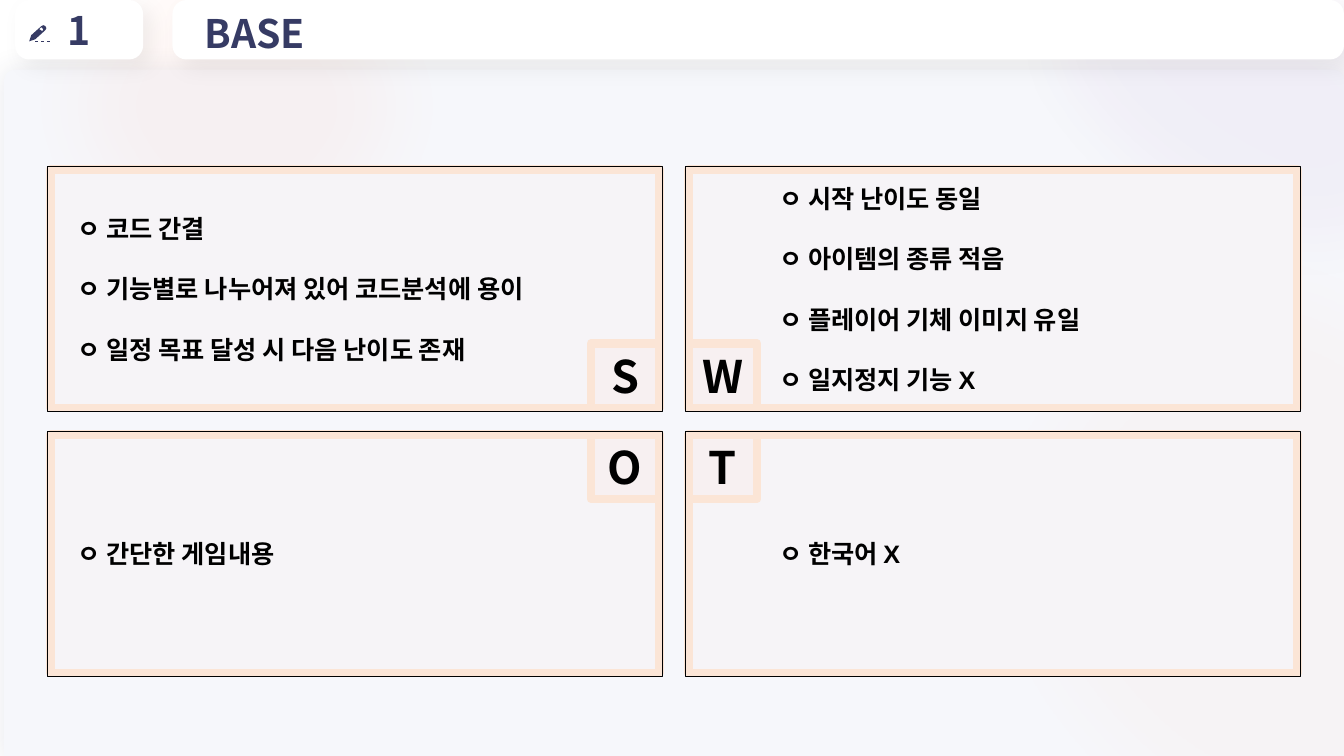
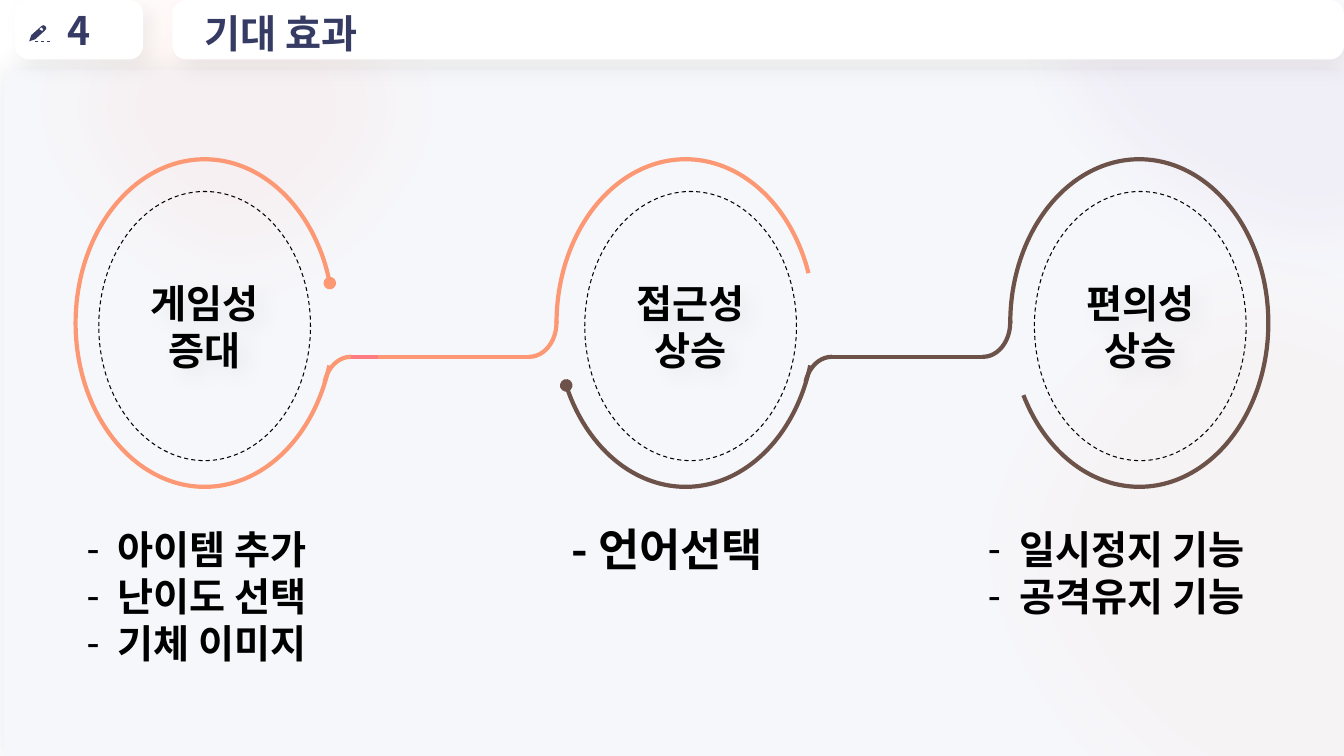
from collections import namedtuple
from dataclasses import dataclass

from lxml.etree import SubElement
from pptx import Presentation
from pptx.dml.color import RGBColor
from pptx.enum.dml import MSO_LINE
from pptx.enum.shapes import MSO_CONNECTOR, MSO_SHAPE
from pptx.enum.text import MSO_ANCHOR, PP_ALIGN
from pptx.oxml.ns import qn
from pptx.util import Inches, Pt


@dataclass(frozen=True)
class Theme:
    """Colours, fonts, type sizes and the grid cell of the deck."""

    navy: str = "363B64"
    white: str = "FFFFFF"
    black: str = "000000"
    page: str = "F6F7FB"
    panel: str = "F6F4F7"
    badge: str = "F7F0F1"
    peach: str = "FBE5D6"
    coral: str = "FC9974"
    blush: str = "FD9374"
    pink: str = "FF7C80"
    brown: str = "6D524A"
    plum: str = "7030A0"
    font: str = "Noto Sans CJK KR"
    plain: str = "Arial"
    body: int = 18
    head: int = 28
    big: int = 32
    cols: int = 1333
    rows: int = 750
    cell: int = Inches(0.01)
    lead: float = 1.2


T = Theme()
Box = namedtuple("Box", "x y w h")
SOFT = ("000000", 5, 15, 8, 45)
GLOW = (T.navy, 10, 18, 0, 0)


def rgb(code):
    """Turn a hex code into a colour."""
    return RGBColor.from_string(code)


def grid(*cells):
    """Turn grid cells into slide lengths."""
    return [int(n * T.cell) for n in cells]


def inset(box, dx, dy=None):
    """Shrink a box evenly on opposite sides."""
    dy = dx if dy is None else dy
    return Box(box.x + dx, box.y + dy, box.w - 2 * dx, box.h - 2 * dy)


def shade(shape, color, alpha, blur, dist, angle):
    """Give a shape an outer shadow."""
    effects = shape._element.spPr.find(qn("a:effectLst"))
    outer = SubElement(effects, qn("a:outerShdw"), blurRad=str(Pt(blur)),
                       dist=str(Pt(dist)), dir=str(angle * 60000),
                       algn="ctr", rotWithShape="0")
    tint = SubElement(outer, qn("a:srgbClr"), val=color)
    SubElement(tint, qn("a:alpha"), val=str(alpha * 1000))


def paint(shape, fill=None, line=None, width=1):
    """Set the fill and line of a shape."""
    shape.shadow.inherit = False
    if fill:
        shape.fill.solid()
        shape.fill.fore_color.rgb = rgb(fill)
    else:
        shape.fill.background()
    if line:
        shape.line.color.rgb = rgb(line)
        shape.line.width = Pt(width)
    else:
        shape.line.fill.background()


def draw(slide, kind, box, fill=None, line=None, width=1, adj=(), shadow=None):
    """Add one preset shape."""
    shape = slide.shapes.add_shape(kind, *grid(*box))
    for i, value in enumerate(adj):
        shape.adjustments[i] = value
    paint(shape, fill, line, width)
    if shadow:
        shade(shape, *shadow)
    return shape


def rule(slide, x, y, end, color, width):
    """Add a level line."""
    line = slide.shapes.add_connector(MSO_CONNECTOR.STRAIGHT, *grid(x, y, end, y))
    line.line.color.rgb = rgb(color)
    line.line.width = Pt(width)
    SubElement(line._element.spPr, qn("a:effectLst"))


def write(shape, lines, size, color=T.black, font=T.font, align=PP_ALIGN.LEFT,
          anchor=MSO_ANCHOR.TOP, gap=0, lead=T.lead, dash=False):
    """Fill a shape with bold paragraphs."""
    frame = shape.text_frame
    frame.word_wrap = True
    frame.vertical_anchor = anchor
    for i, text in enumerate(lines):
        para = frame.add_paragraph() if i else frame.paragraphs[0]
        para.alignment = align
        if lead:
            para.line_spacing = Pt(size * lead)
        if i and gap:
            para.space_before = Pt(gap)
        if dash:
            props = para._p.get_or_add_pPr()
            props.set("marL", str(Inches(0.31)))
            props.set("indent", str(Inches(-0.31)))
            SubElement(props, qn("a:buFont"), typeface=T.plain)
            SubElement(props, qn("a:buChar"), char="-")
        run = para.add_run()
        run.text = text
        run.font.size = Pt(size)
        run.font.bold = True
        run.font.color.rgb = rgb(color)
        run.font.name = font
        SubElement(run._r.get_or_add_rPr(), qn("a:ea"), typeface=T.font)


def note(slide, box, lines, size, **style):
    """Add a text box."""
    write(slide.shapes.add_textbox(*grid(*box)), lines, size, **style)


def blob(slide, box, color, alpha, turn=0):
    """Add a faint ellipse with a soft edge."""
    shape = draw(slide, MSO_SHAPE.OVAL, box, color)
    shape.rotation = turn
    tint = shape._element.spPr.find(qn("a:solidFill"))[0]
    SubElement(tint, qn("a:alpha"), val=str(alpha * 1000))
    effects = shape._element.spPr.find(qn("a:effectLst"))
    SubElement(effects, qn("a:softEdge"), rad=str(Pt(50)))


def pen(slide, x, y):
    """Draw the small pen and its dashed ground line."""
    body = [(2, 10), (12, 1), (14, 0), (16, 1), (17, 3), (16, 5), (6, 14)]
    slot = [(14, 4), (13, 6), (10, 4)]
    path = slide.shapes.build_freeform(*grid(x, y + 16), scale=1.0)
    path.add_line_segments([grid(x + a, y + b) for a, b in body])
    path.move_to(*grid(x + 12, y + 2))
    path.add_line_segments([grid(x + a, y + b) for a, b in slot])
    paint(path.convert_to_shape(), T.navy)
    for step in range(3):
        left = x + 6 + 6 * step
        rule(slide, left, y + 16, left + 3, T.navy, 0.25)


def base(deck, number, title):
    """Add a slide with the shared backdrop and header."""
    slide = deck.slides.add_slide(deck.slide_layouts[6])
    draw(slide, MSO_SHAPE.ROUND_2_SAME_RECTANGLE, Box(4, 69, 1329, 685),
         T.page, adj=(0.016, 0), shadow=GLOW)
    blob(slide, Box(0, -128, 469, 467), T.blush, 7)
    blob(slide, Box(1033, -204, 427, 587), T.plum, 4, 291.5)
    blob(slide, Box(940, 213, 653, 690), T.coral, 4, 339.8)
    tab, bar = [draw(slide, MSO_SHAPE.ROUNDED_RECTANGLE, Box(x, 0, w, 59),
                     T.white, adj=(0.237,), shadow=SOFT)
                for x, w in ((15, 127), (171, 1162))]
    style = dict(color=T.navy, anchor=MSO_ANCHOR.MIDDLE, lead=None)
    write(tab, [number], T.head, align=PP_ALIGN.CENTER, **style)
    pen(slide, 29, 25)
    write(bar, [title], T.head, **style)
    bar.text_frame.margin_left = Inches(0.28)
    bar.text_frame.margin_top = Inches(0.07)
    bar.text_frame.margin_bottom = 0
    return slide


def quad(slide, box, right, low, letter, lines):
    """Place one panel with its letter at the inner corner."""
    panel = inset(box, 3)
    draw(slide, MSO_SHAPE.RECTANGLE, panel, T.panel, T.peach, 6)
    w, h = 68, 64
    corner = Box(panel.x if right else panel.x + panel.w - w,
                 panel.y if low else panel.y + panel.h - h, w, h)
    mark = draw(slide, MSO_SHAPE.RECTANGLE, corner, T.badge, T.peach, 6)
    write(mark, [letter], T.big, align=PP_ALIGN.CENTER)
    pad = 83 if right else 20
    note(slide, Box(box.x + pad, box.y, box.w - pad - 10, box.h),
         ["ㅇ " + line for line in lines], T.body, font=T.plain,
         anchor=MSO_ANCHOR.MIDDLE, gap=T.body * T.lead)
    draw(slide, MSO_SHAPE.RECTANGLE, box, line=T.black, width=0.25)


def swot(deck):
    """Build the slide of four panels."""
    slide = base(deck, "1", "BASE")
    quads = [
        ("S", ["코드 간결", "기능별로 나누어져 있어 코드분석에 용이",
               "일정 목표 달성 시 다음 난이도 존재"]),
        ("W", ["시작 난이도 동일", "아이템의 종류 적음",
               "플레이어 기체 이미지 유일", "일지정지 기능 X"]),
        ("O", ["간단한 게임내용"]),
        ("T", ["한국어 X"]),
    ]
    for i, (letter, lines) in enumerate(quads):
        low, right = divmod(i, 2)
        box = Box(47 + 633 * right, 165 + 263 * low, 610, 243)
        quad(slide, box, right, low, letter, lines)


def arc(slide, box, start, end, color, dot=False, flip=False):
    """Draw an arc between two angles in degrees."""
    shape = draw(slide, MSO_SHAPE.ARC, box, line=color, width=3,
                 adj=(start * 0.6, end * 0.6))
    if flip:
        frame = shape._element.spPr.find(qn("a:xfrm"))
        frame.set("flipH", "1")
        frame.set("flipV", "1")
    if dot:
        SubElement(shape.line._get_or_add_ln(), qn("a:tailEnd"), type="oval")


def link(slide, ring, end, color, tip):
    """Join a ring to the next one with two hooks and a line."""
    w, h = 54, 68
    y = ring.y + 196
    x = ring.x + 246
    mid = x + w / 2
    arc(slide, Box(x, y, w, h), 199.4, 270.5, color)
    rule(slide, mid, y, mid + 27, tip, 3)
    rule(slide, mid + 27, y, end - w / 2, color, 3)
    arc(slide, Box(end - w, y - h, w, h), 175.9, 270.5, color, flip=True)


def stage(slide, ring, arcs, shift, label):
    """Place a ring and its dashed label."""
    for start, end, color, dot in arcs:
        arc(slide, ring, start, end, color, dot)
    oval = draw(slide, MSO_SHAPE.OVAL, Box(ring.x + shift, ring.y + 32, 210, 267),
                line=T.black, width=0.75, shadow=SOFT)
    oval.line.dash_style = MSO_LINE.DASH
    write(oval, [label], T.head, align=PP_ALIGN.CENTER, anchor=MSO_ANCHOR.MIDDLE)


def goals(deck):
    """Build the slide of three linked rings."""
    slide = base(deck, "4", "기대 효과")
    rings = [Box(x, 158, 256, 325) for x in (75, 552, 1002)]
    link(slide, rings[0], rings[1].x, T.coral, T.pink)
    link(slide, rings[1], rings[2].x, T.brown, T.brown)
    stages = [
        ([(18.8, 342.3, T.coral, True)], 23, "게임성 증대"),
        ([(179.7, 337.9, T.coral, False), (18.8, 152.4, T.brown, True)],
         28, "접근성 상승"),
        ([(179.7, 148.1, T.brown, False)], 24, "편의성 상승"),
    ]
    for ring, parts in zip(rings, stages):
        stage(slide, ring, *parts)
    note(slide, Box(76, 516, 298, 151),
         ["아이템 추가", "난이도 선택", "기체 이미지"], T.head, dash=True)
    note(slide, Box(557, 513, 256, 64), ["- 언어선택"], T.big)
    note(slide, Box(970, 516, 314, 104),
         ["일시정지 기능", "공격유지 기능"], T.head, dash=True)


def main():
    """Build and save the deck."""
    deck = Presentation()
    deck.slide_width, deck.slide_height = grid(T.cols, T.rows)
    swot(deck)
    goals(deck)
    deck.save("out.pptx")


if __name__ == "__main__":
    main()
